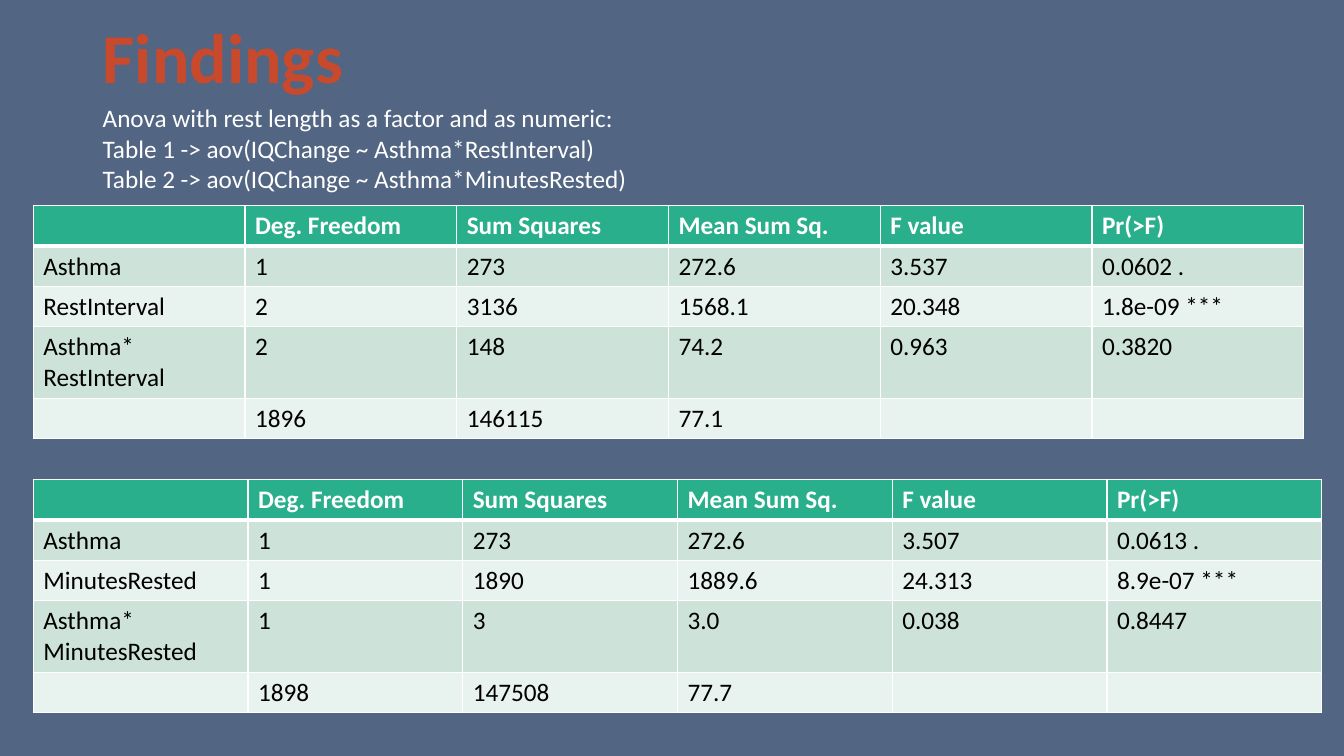
from lxml.etree import SubElement
from pptx import Presentation
from pptx.dml.color import RGBColor
from pptx.enum.text import MSO_ANCHOR, PP_ALIGN
from pptx.oxml.ns import qn
from pptx.util import Inches, Pt

COLORS = {
    "background": "526582",
    "title": "C9492C",
    "header": "29AF8C",
    "odd_row": "CDE3DA",
    "even_row": "E8F2EE",
    "white": "FFFFFF",
    "black": "000000",
}
FONT = "Calibri"
TEXT_LEFT = Inches(0.92)
TABLE_LEFT = Inches(0.33)
ROW_HEIGHTS = [0.4, 0.4, 0.4, 0.71, 0.4]
HEADER = ["", "Deg. Freedom", "Sum Squares", "Mean Sum Sq.", "F value", "Pr(>F)"]

ANOVA_TABLES = [
    (2.04, 2.1, [
        HEADER,
        ["Asthma", "1", "273", "272.6", "3.537", "0.0602 ."],
        ["RestInterval", "2", "3136", "1568.1", "20.348", "1.8e-09 ***"],
        ["Asthma*\nRestInterval", "2", "148", "74.2", "0.963", "0.3820"],
        ["", "1896", "146115", "77.1", "", ""],
    ]),
    (4.76, 2.13, [
        HEADER,
        ["Asthma", "1", "273", "272.6", "3.507", "0.0613 ."],
        ["MinutesRested", "1", "1890", "1889.6", "24.313", "8.9e-07 ***"],
        ["Asthma*\nMinutesRested", "1", "3", "3.0", "0.038", "0.8447"],
        ["", "1898", "147508", "77.7", "", ""],
    ]),
]


def write_text(text_frame, text, size, color, bold=False):
    for index, line in enumerate(text.split("\n")):
        paragraph = text_frame.paragraphs[0] if index == 0 else text_frame.add_paragraph()
        paragraph.alignment = PP_ALIGN.LEFT
        if line:
            run = paragraph.add_run()
            run.text = line
            run.font.name = FONT
            run.font.size = Pt(size)
            run.font.bold = bold
            run.font.color.rgb = RGBColor.from_string(COLORS[color])


def add_border(cell, side, width):
    properties = cell._tc.get_or_add_tcPr()
    line = SubElement(properties, qn(f"a:ln{side}"), w=str(Pt(width)))
    fill = SubElement(line, qn("a:solidFill"))
    SubElement(fill, qn("a:srgbClr"), val=COLORS["white"])


presentation = Presentation()
presentation.slide_width = Inches(13.33)
presentation.slide_height = Inches(7.5)
slide = presentation.slides.add_slide(presentation.slide_layouts[5])
slide.background.fill.solid()
slide.background.fill.fore_color.rgb = RGBColor.from_string(COLORS["background"])

title = slide.shapes.title
title.left, title.top = TEXT_LEFT, Inches(0.08)
title.width, title.height = Inches(7.77), Inches(0.94)
title.text_frame.vertical_anchor = MSO_ANCHOR.TOP
write_text(title.text_frame, "Findings", 50, "title", bold=True)

description = slide.shapes.add_textbox(TEXT_LEFT, Inches(0.97), Inches(9.31), Inches(1.62))
description.text_frame.word_wrap = True
write_text(
    description.text_frame,
    "Anova with rest length as a factor and as numeric:\n"
    "Table 1 -> aov(IQChange ~ Asthma*RestInterval)\n"
    "Table 2 -> aov(IQChange ~ Asthma*MinutesRested)",
    18,
    "white",
)

for top, column_width, rows in ANOVA_TABLES:
    table = slide.shapes.add_table(
        len(rows), len(HEADER), TABLE_LEFT, Inches(top),
        Inches(column_width * len(HEADER)), Inches(sum(ROW_HEIGHTS)),
    ).table
    for column in table.columns:
        column.width = Inches(column_width)
    for row_index, values in enumerate(rows):
        table.rows[row_index].height = Inches(ROW_HEIGHTS[row_index])
        is_header = row_index == 0
        row_fill = "header" if is_header else "odd_row" if row_index % 2 else "even_row"
        for column_index, value in enumerate(values):
            cell = table.cell(row_index, column_index)
            write_text(cell.text_frame, value, 18, "white" if is_header else "black", is_header)
            add_border(cell, "L", 1)
            add_border(cell, "R", 1)
            add_border(cell, "T", 3 if row_index == 1 else 1)
            add_border(cell, "B", 3 if is_header else 1)
            cell.fill.solid()
            cell.fill.fore_color.rgb = RGBColor.from_string(COLORS[row_fill])

presentation.save("out.pptx")
